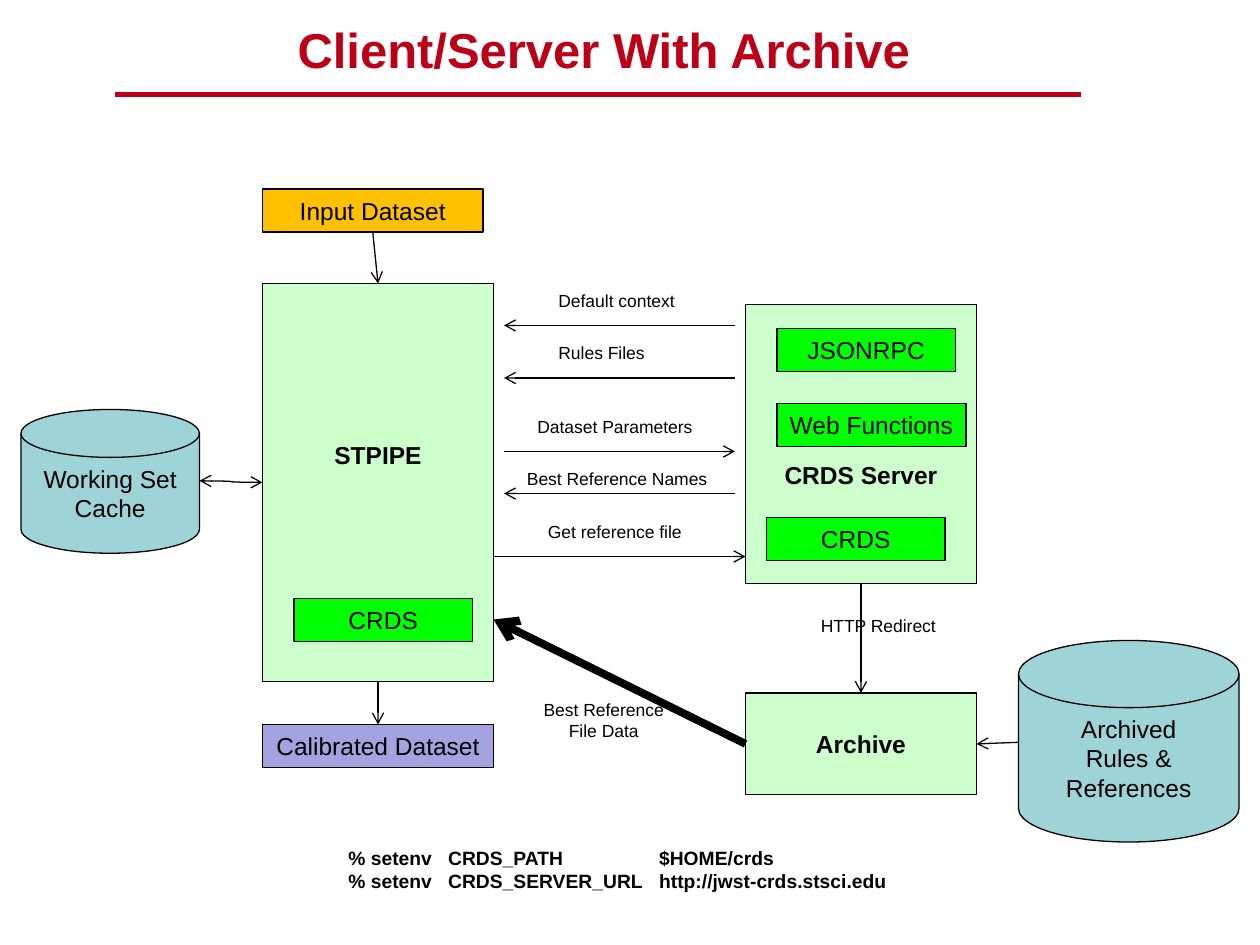
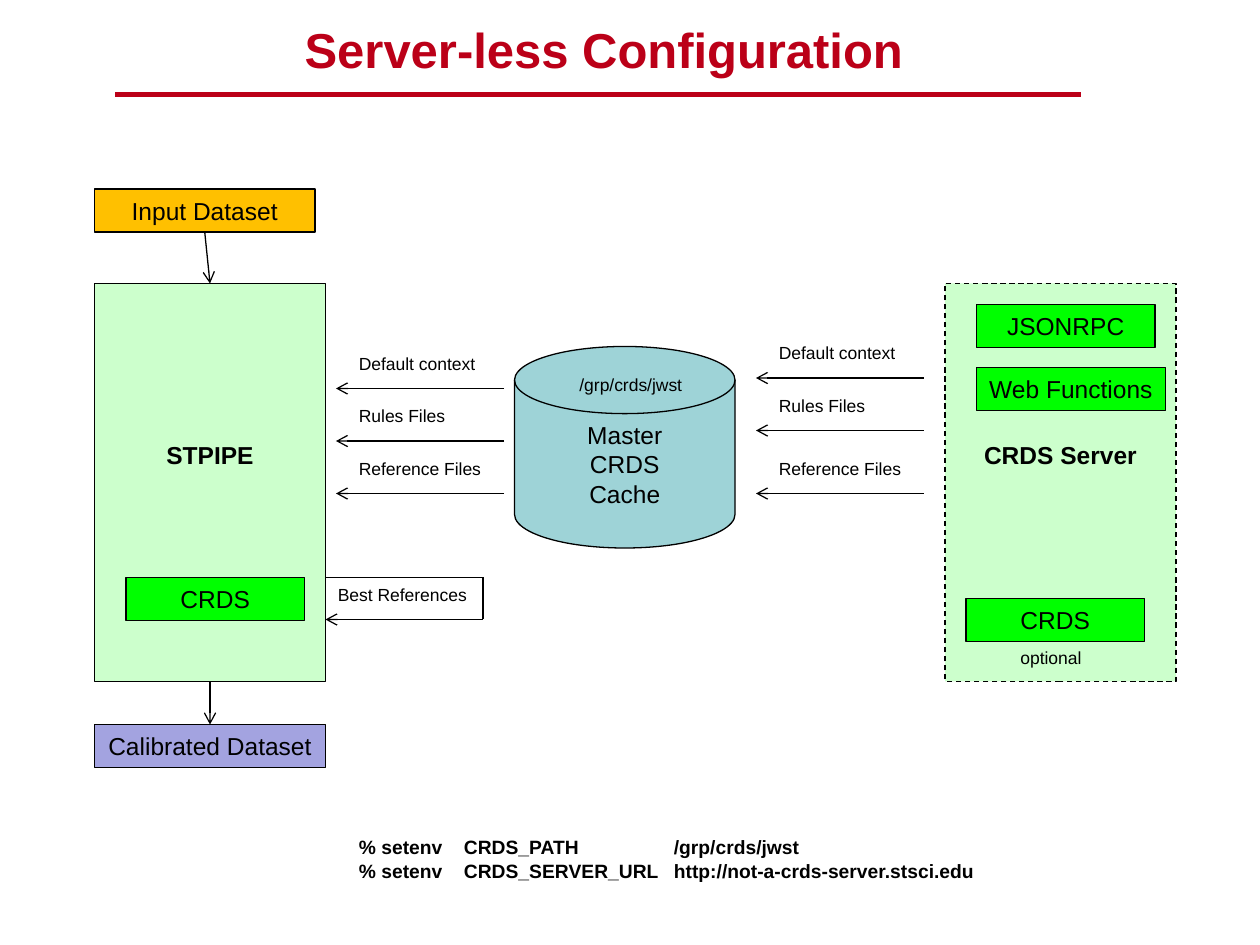
import pptx
import pptx.util
import pptx.dml.color
import pptx.enum.dml
import pptx.enum.shapes
import pptx.enum.text
import pptx.oxml
import pptx.oxml.ns

RGB = pptx.dml.color.RGBColor
SHAPE = pptx.enum.shapes.MSO_SHAPE
LINK = pptx.enum.shapes.MSO_CONNECTOR
ALIGN = pptx.enum.text.PP_ALIGN
ANCHOR = pptx.enum.text.MSO_ANCHOR

PX = 7620
FONT = "Arial"
RED = RGB(0xBB, 0x00, 0x18)
BLACK = RGB(0x00, 0x00, 0x00)
AMBER = RGB(0xFF, 0xC0, 0x00)
PALE_GREEN = RGB(0xCC, 0xFF, 0xCC)
GREEN = RGB(0x00, 0xFF, 0x00)
LILAC = RGB(0xA3, 0xA3, 0xE0)
TEAL = RGB(0x9E, 0xD3, 0xD7)

TOP, LEFT, BOTTOM, RIGHT = range(4)
BAR_H = 41
COLUMN_W = 220
COLUMN_Y, COLUMN_H = 270, 379
CHIP_W = 170


def px(*values):
    """Turn pixel lengths into EMU."""
    return [pptx.util.Emu(v * PX) for v in values]


def write(tf, text, size, color=BLACK, bold=False, align=ALIGN.LEFT):
    """Fill a text frame and format all its runs alike."""
    tf.text = text
    for p in tf.paragraphs:
        p.alignment = align
        for r in p.runs:
            r.font.name = FONT
            r.font.size = pptx.util.Pt(size)
            r.font.bold = bold
            r.font.color.rgb = color


def set_margins(tf, left, top, right, bottom):
    """Set the four insets of a text frame."""
    tf.margin_left, tf.margin_top, tf.margin_right, tf.margin_bottom = px(
        left, top, right, bottom)


def box(s, text, x, y, w, h, fill, kind=SHAPE.RECTANGLE, bold=False, shift=0):
    """Draw an outlined shape whose text sits shift px below the middle."""
    sp = s.shapes.add_shape(kind, *px(x, y, w, h))
    sp.shadow.inherit = False
    sp.fill.solid()
    sp.fill.fore_color.rgb = fill
    sp.line.color.rgb = BLACK
    sp.line.width = pptx.util.Pt(0.75)
    tf = sp.text_frame
    tf.word_wrap = True
    tf.vertical_anchor = ANCHOR.MIDDLE
    set_margins(tf, 0, max(2 * shift, 0), 0, max(-2 * shift, 0))
    write(tf, text, 14, bold=bold, align=ALIGN.CENTER)
    return sp


def chip(s, text, x, y, w=CHIP_W):
    """Draw a bright green component bar."""
    return box(s, text, x, y, w, BAR_H, GREEN)


def disk(s, text, x, y, w, h):
    """Draw a storage cylinder."""
    return box(s, text, x, y, w, h, TEAL, SHAPE.FLOWCHART_MAGNETIC_DISK)


def label(s, text, x, y, w, h=32, wrap=False, align=ALIGN.LEFT):
    """Place a small caption."""
    tf = s.shapes.add_textbox(*px(x, y, w, h)).text_frame
    tf.word_wrap = wrap
    set_margins(tf, 12, 6, 12, 6)
    write(tf, text, 10, align=align)


def connect(s, start, end, width=0.75, color=BLACK, heads=("tailEnd",), kind=LINK.STRAIGHT):
    """Join two ends, each a point or a (shape, side) pair."""
    ends = [e if isinstance(e[0], int) else (0, 0) for e in (start, end)]
    cx = s.shapes.add_connector(kind, *px(*ends[0], *ends[1]))
    if not isinstance(start[0], int):
        cx.begin_connect(*start)
    if not isinstance(end[0], int):
        cx.end_connect(*end)
    cx.line.color.rgb = color
    cx.line.width = pptx.util.Pt(width)
    ln = cx.line._get_or_add_ln()
    for head in heads:
        tip = pptx.oxml.parse_xml(f'<a:{head} {pptx.oxml.ns.nsdecls("a")} type="arrow"/>')
        ln.append(tip)
    cx._element.spPr.append(
        pptx.oxml.parse_xml(f'<a:effectLst {pptx.oxml.ns.nsdecls("a")}/>'))
    return cx


def message(s, text, start, end, y, label_x, label_w, rise=40):
    """Draw a horizontal arrow with its caption above."""
    connect(s, (start, y), (end, y))
    label(s, text, label_x, y - rise, label_w)


def add_slide(prs, title):
    """Add a slide with the red title and rule."""
    s = prs.slides.add_slide(prs.slide_layouts[6])
    connect(s, (110, 90), (1030, 90), 3, RED, heads=())
    tf = s.shapes.add_textbox(*px(120, 20, 910, 53)).text_frame
    tf.word_wrap = True
    tf.vertical_anchor = ANCHOR.MIDDLE
    set_margins(tf, 0, 0, 0, 0)
    write(tf, title, 28, RED, True, ALIGN.CENTER)
    return s


def pipeline(s, x, crds_y):
    """Draw the dataset pipeline column and return its main box."""
    source = box(s, "Input Dataset", x, 180, 210, BAR_H, AMBER)
    pipe = box(s, "STPIPE", x, COLUMN_Y, COLUMN_W, COLUMN_H, PALE_GREEN, bold=True, shift=-26)
    result = box(s, "Calibrated Dataset", x, 690, COLUMN_W, BAR_H, LILAC)
    chip(s, "CRDS", x + 30, crds_y)
    connect(s, (source, BOTTOM), (pipe, TOP))
    connect(s, (pipe, BOTTOM), (result, TOP))
    return pipe


def server(s, x, y, h, chip_tops, shift):
    """Draw the server box with its three components."""
    sp = box(s, "CRDS Server", x, y, COLUMN_W, h, PALE_GREEN, bold=True, shift=shift)
    parts = [("JSONRPC", 30, CHIP_W), ("Web Functions", 30, 180), ("CRDS", 20, CHIP_W)]
    for (text, dx, w), dy in zip(parts, chip_tops):
        chip(s, text, x + dx, y + dy, w)
    return sp


def settings(s, x, y, w, values, stops):
    """List the environment settings in tabbed columns."""
    tf = s.shapes.add_textbox(*px(x, y, w, 56)).text_frame
    tf.word_wrap = True
    set_margins(tf, 12, 6, 12, 6)
    names = ("CRDS_PATH", "CRDS_SERVER_URL")
    write(tf, "\n".join(f"% setenv\t{n}\t{v}" for n, v in zip(names, values)), 11, bold=True)
    tabs = "".join(f'<a:tab pos="{stop * PX}" algn="l"/>' for stop in stops)
    for p in tf.paragraphs:
        p._p.get_or_add_pPr().append(pptx.oxml.parse_xml(
            f'<a:tabLst {pptx.oxml.ns.nsdecls("a")}>{tabs}</a:tabLst>'))


def file_transfers(s, x, rows):
    """Draw the three file arrows pointing left to x."""
    texts = [("Default context", 137), ("Rules Files", 107), ("Reference Files", 142)]
    for (text, w), y in zip(texts, rows):
        message(s, text, x + 160, x, y, x + 10, w)


def archive_slide(prs):
    """Build the client and server slide."""
    s = add_slide(prs, "Client/Server With Archive")
    pipe = pipeline(s, 250, 570)
    cache = (190, 458)
    disk(s, "Working Set\nCache", 20, 390, 170, 137)
    connect(s, cache, (pipe, LEFT), heads=("headEnd", "tailEnd"), kind=LINK.CURVE)
    crds_server = server(s, 710, 290, 266, (23, 94, 203), 29)
    archive = box(s, "Archive", 710, 660, COLUMN_W, 97, PALE_GREEN, bold=True)
    disk(s, "Archived\nRules &\nReferences", 970, 610, 210, 192)
    connect(s, (970, 707), (archive, RIGHT))
    connect(s, (crds_server, BOTTOM), (archive, TOP))
    connect(s, (archive, LEFT), (470, 590), 4.5)
    message(s, "Default context", 700, 480, 310, 520, 137)
    message(s, "Rules Files", 700, 480, 360, 520, 107)
    message(s, "Dataset Parameters", 480, 700, 430, 500, 174)
    message(s, "Best Reference Names", 700, 480, 470, 490, 196, rise=30)
    message(s, "Get reference file", 470, 710, 530, 510, 152)
    label(s, "HTTP Redirect", 770, 580, 134)
    label(s, "Best Reference\vFile Data", 480, 660, 190, 53, True, ALIGN.CENTER)
    settings(s, 320, 800, 545, ("$HOME/crds", "http://jwst-crds.stsci.edu"), (95, 296))


def serverless_slide(prs):
    """Build the server-less slide."""
    s = add_slide(prs, "Server-less Configuration")
    pipeline(s, 90, 550)
    optional = server(s, 900, COLUMN_Y, COLUMN_H, (20, 80, 300), -26)
    optional.line.dash_style = pptx.enum.dml.MSO_LINE.DASH
    label(s, "optional", 960, 610, 83)
    disk(s, "Master\nCRDS\nCache", 490, 330, 210, 192)
    label(s, "/grp/crds/jwst", 540, 350, 124)
    file_transfers(s, 320, (370, 420, 470))
    file_transfers(s, 720, (360, 410, 470))
    connect(s, (310, 550), (460, 550), heads=())
    connect(s, (460, 550), (460, 590), heads=())
    connect(s, (460, 590), (310, 590))
    label(s, "Best References", 310, 550, 190, wrap=True)
    settings(s, 330, 790, 614,
             ("/grp/crds/jwst", "http://not-a-crds-server.stsci.edu"), (100, 300))


def main():
    """Build and save the presentation."""
    prs = pptx.Presentation()
    prs.slide_width, prs.slide_height = px(1200, 900)
    archive_slide(prs)
    serverless_slide(prs)
    prs.save("out.pptx")


if __name__ == "__main__":
    main()
